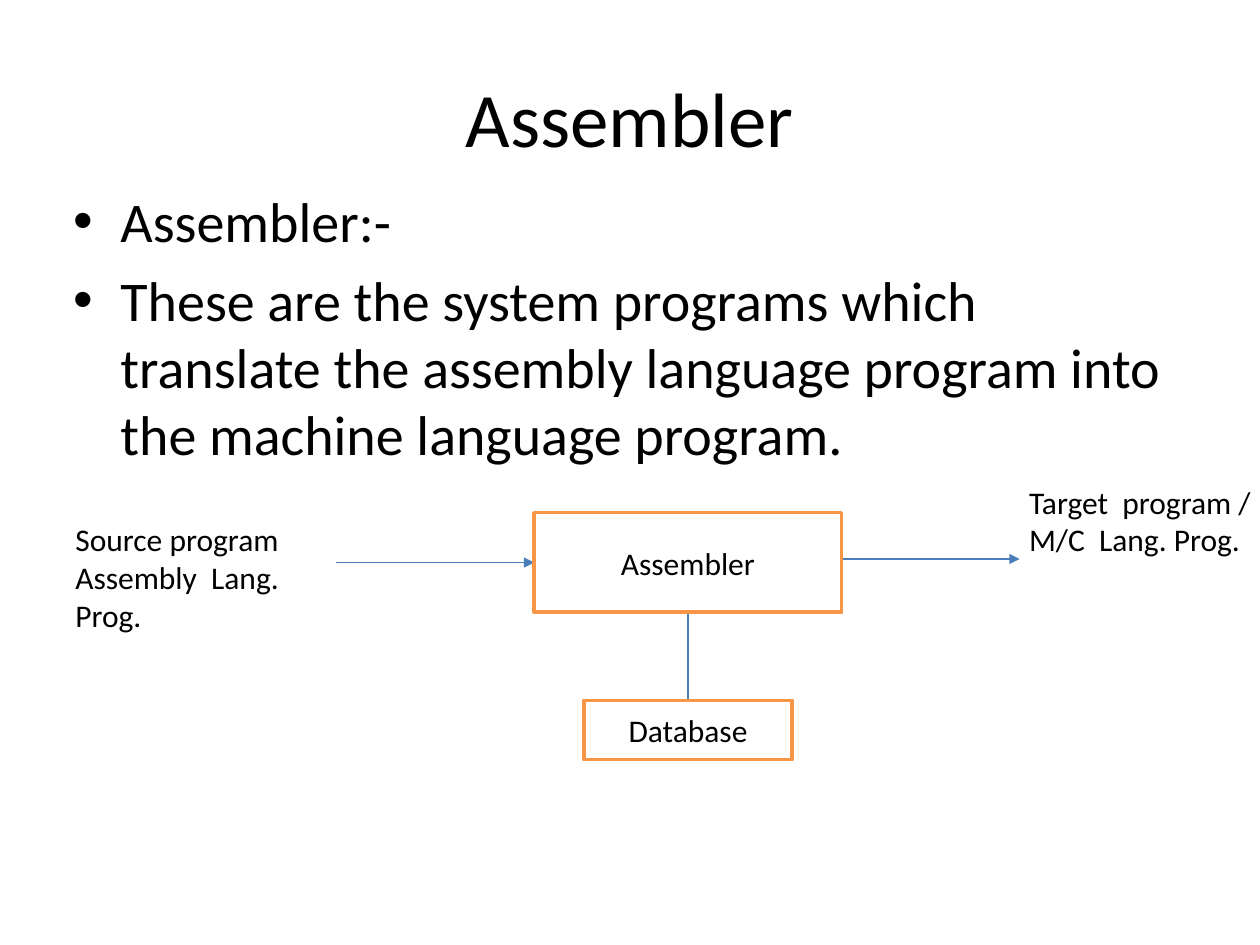
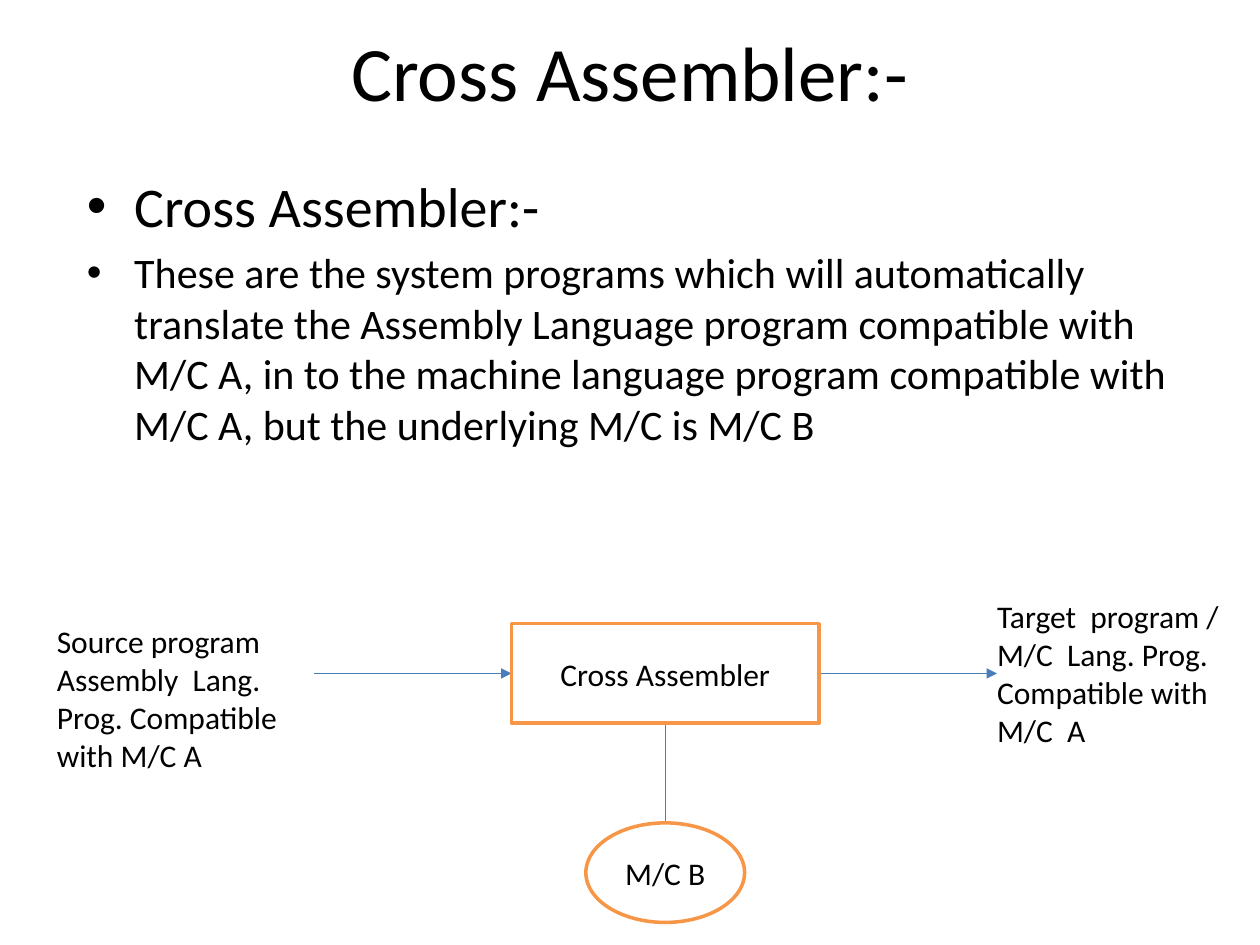
from lxml.etree import SubElement
from pptx import Presentation
from pptx.dml.color import RGBColor
from pptx.enum.shapes import MSO_CONNECTOR, MSO_SHAPE
from pptx.enum.text import MSO_ANCHOR, PP_ALIGN
from pptx.oxml.ns import qn
from pptx.util import Pt

FONT = "Calibri"
BLACK, WHITE, ORANGE, BLUE = "000000", "FFFFFF", "F79646", "4A7EBB"
SLIDE_W, SLIDE_H = 720, 540
BOX_W, BOX_H = 175.7, 56.9
LABEL_W = 150
IN_LEN, OUT_LEN = 113, 101.7

slides = [
    dict(
        title="Assembler", title_top=21.6, title_h=90,
        body_at=(34.6, 103),
        bullets=[
            ("Assembler:-", 32),
            ("These are the system programs which translate the assembly "
             "language program into the machine language program.", 32),
        ],
        box=("Assembler", 305.3, 293), out_rise=2,
        below=("Database", MSO_SHAPE.RECTANGLE, 400.3, 118.8, 33.8),
        labels=[
            (36, 293.8, ["Source program", "Assembly  Lang. Prog."]),
            (581, 272.2, ["Target  program /", "M/C  Lang. Prog."]),
        ],
    ),
    dict(
        title="Cross Assembler:-", title_top=0, title_h=80.6,
        body_at=(42.5, 94.3),
        bullets=[
            ("Cross Assembler:-", 32),
            ("These are the system programs which will automatically translate "
             "the Assembly Language program compatible with M/C A, in to the "
             "machine language program compatible with M/C A, but the "
             "underlying M/C is M/C B", 24),
        ],
        box=("Cross Assembler", 292.3, 356.4), out_rise=0,
        below=("M/C B", MSO_SHAPE.OVAL, 470.2, 90.7, 56.9),
        labels=[
            (25.4, 352.1, ["Source program",
                           "Assembly  Lang. Prog. Compatible with M/C A"]),
            (562.7, 337.7, ["Target  program /",
                            "M/C  Lang. Prog. Compatible with M/C  A"]),
        ],
    ),
]


def rgb(value):
    return RGBColor.from_string(value)


def style(p, size):
    """Give a paragraph the font that all text shares."""
    p.font.name = FONT
    p.font.size = Pt(size)
    p.font.color.rgb = rgb(BLACK)


prs = Presentation()
prs.slide_width, prs.slide_height = Pt(SLIDE_W), Pt(SLIDE_H)

for item in slides:
    s = prs.slides.add_slide(prs.slide_layouts[1])

    title = s.shapes.title
    title.left, title.top = Pt(36), Pt(item["title_top"])
    title.width, title.height = Pt(648), Pt(item["title_h"])
    title.text_frame.text = item["title"]
    style(title.text_frame.paragraphs[0], 44)

    body = s.placeholders[1]
    body.left, body.top = (Pt(v) for v in item["body_at"])
    body.width, body.height = Pt(648), Pt(414)
    body.text_frame.text = "\n".join(text for text, _ in item["bullets"])
    for p, (_, size) in zip(body.text_frame.paragraphs, item["bullets"]):
        style(p, size)
        p.space_before = Pt(size * 0.2)

    # Connectors: source arrow, target arrow, line to the lower node
    box_text, left, top = item["box"]
    below_text, below_kind, below_top, below_w, below_h = item["below"]
    right, bottom = left + BOX_W, top + BOX_H
    center, middle = left + BOX_W / 2, top + BOX_H / 2
    out_y = middle - item["out_rise"]
    for x1, y1, x2, y2, has_arrow in [
        (left - IN_LEN, middle, left, middle, True),
        (right, out_y, right + OUT_LEN, out_y, True),
        (center, bottom, center, below_top, False),
    ]:
        line = s.shapes.add_connector(
            MSO_CONNECTOR.STRAIGHT, Pt(x1), Pt(y1), Pt(x2), Pt(y2))
        line.line.color.rgb = rgb(BLUE)
        line.line.width = Pt(0.75)
        if has_arrow:
            SubElement(line.line._get_or_add_ln(), qn("a:tailEnd"), type="triangle")
        SubElement(line._element.spPr, qn("a:effectLst"))

    for text, kind, x, y, w, h in [
        (box_text, MSO_SHAPE.RECTANGLE, left, top, BOX_W, BOX_H),
        (below_text, below_kind, center - below_w / 2, below_top, below_w, below_h),
    ]:
        sp = s.shapes.add_shape(kind, Pt(x), Pt(y), Pt(w), Pt(h))
        sp.shadow.inherit = False
        sp.fill.solid()
        sp.fill.fore_color.rgb = rgb(WHITE)
        sp.line.color.rgb = rgb(ORANGE)
        sp.line.width = Pt(2)
        tf = sp.text_frame
        tf.text = text
        tf.vertical_anchor = MSO_ANCHOR.MIDDLE
        tf.paragraphs[0].alignment = PP_ALIGN.CENTER
        style(tf.paragraphs[0], 18)

    for x, y, lines in item["labels"]:
        width = min(LABEL_W, SLIDE_W - x)
        tf = s.shapes.add_textbox(Pt(x), Pt(y), Pt(width), Pt(94)).text_frame
        tf.word_wrap = True
        tf.margin_right = 0
        tf.text = "\n".join(lines)
        for p in tf.paragraphs:
            style(p, 18)

prs.save("out.pptx")
